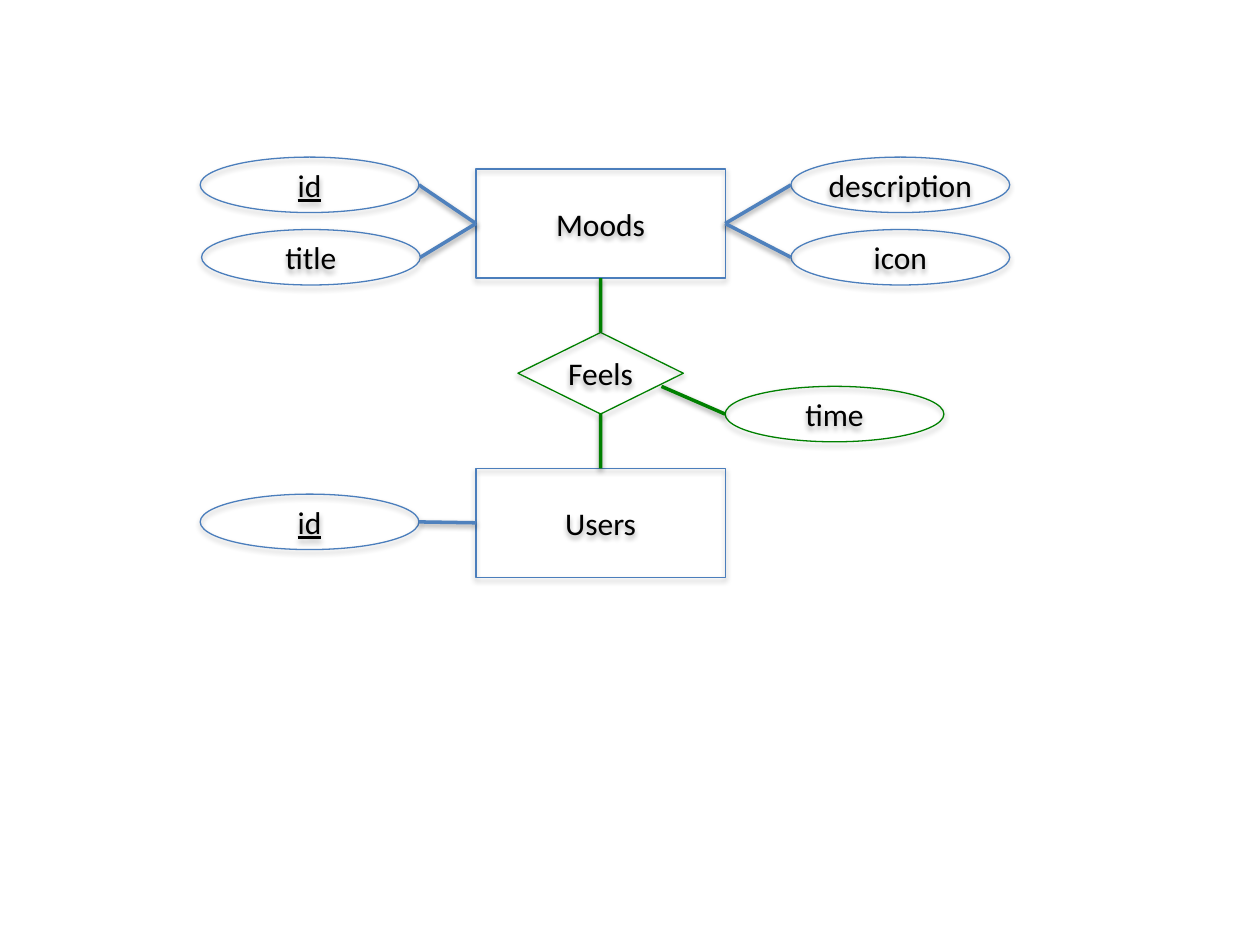
from collections import namedtuple
from dataclasses import dataclass

from pptx import Presentation
from pptx.dml.color import RGBColor
from pptx.enum.shapes import MSO_CONNECTOR, MSO_SHAPE
from pptx.enum.text import MSO_ANCHOR, PP_ALIGN
from pptx.util import Pt

RECT, ELLIPSE, DIAMOND = MSO_SHAPE.RECTANGLE, MSO_SHAPE.OVAL, MSO_SHAPE.DIAMOND
STRAIGHT = MSO_CONNECTOR.STRAIGHT
MIDDLE, CENTER = MSO_ANCHOR.MIDDLE, PP_ALIGN.CENTER
TOP, LEFT, BOTTOM, RIGHT = range(4)

Box = namedtuple("Box", "x y w h")


@dataclass(frozen=True)
class Theme:
    font: str = "Calibri"
    size: float = 18
    text: RGBColor = RGBColor(0, 0, 0)
    entity_line: RGBColor = RGBColor(0x4B, 0x7E, 0xBC)
    entity_link: RGBColor = RGBColor(0x4F, 0x81, 0xBD)
    relation: RGBColor = RGBColor(0, 0x80, 0)
    outline: float = 0.75
    link: float = 2


THEME = Theme()
ATTR_W, ATTR_H = 125, 31.7


def add_node(shapes, kind, box, label, color, key=False):
    """Add an unfilled, labelled shape with the theme's soft shadow; a key is underlined."""
    sp = shapes.add_shape(kind, *map(Pt, box))
    sp.fill.background()
    sp.line.color.rgb = color
    sp.line.width = Pt(THEME.outline)
    tf = sp.text_frame
    tf.word_wrap = True
    tf.vertical_anchor = MIDDLE
    tf.margin_left = tf.margin_right = 0
    p = tf.paragraphs[0]
    p.text = label
    p.alignment = CENTER
    p.font.name = THEME.font
    p.font.size = Pt(THEME.size)
    p.font.color.rgb = THEME.text
    if key:
        p.runs[0].font.underline = True
    return sp


def add_link(shapes, start, end, color):
    line = shapes.add_connector(STRAIGHT, *map(Pt, (*start, *end)))
    line.line.color.rgb = color
    line.line.width = Pt(THEME.link)
    return line


def add_entity(shapes, box, name, attributes):
    """Add an entity and its attributes, given as (label, side, x, y, key)."""
    entity = add_node(shapes, RECT, box, name, THEME.entity_line)
    middle = box.y + box.h / 2
    for label, side, x, y, key in attributes:
        add_node(shapes, ELLIPSE, (x, y, ATTR_W, ATTR_H), label,
                 THEME.entity_line, key)
        start_x, end_x = (box.x, x + ATTR_W) if side == LEFT else (box.x + box.w, x)
        line = add_link(shapes, (start_x, middle), (end_x, y + ATTR_H / 2),
                        THEME.entity_link)
        line.begin_connect(entity, side)
    return entity


def add_relation(shapes, box, name, upper, lower):
    """Add a relation diamond, joined to the entities above and below."""
    diamond = add_node(shapes, DIAMOND, box, name, THEME.relation)
    center = box.x + box.w / 2
    for first, second in ((upper, diamond), (diamond, lower)):
        line = add_link(shapes, (center, box.y), (center, box.y + box.h),
                        THEME.relation)
        line.begin_connect(first, BOTTOM)
        line.end_connect(second, TOP)


def add_relation_attribute(shapes, box, label, start):
    add_node(shapes, ELLIPSE, box, label, THEME.relation)
    add_link(shapes, start, (box.x, box.y + box.h / 2), THEME.relation)


def add_diagram(slide):
    shapes = slide.shapes.add_group_shape().shapes
    moods_box = Box(272, 96.6, 142.4, 62.3)
    users_box = moods_box._replace(y=267.6)
    feels_box = Box(296, 190, 94.5, 46.6)

    moods = add_entity(shapes, moods_box, "Moods", [
        ("id", LEFT, 114.4, 89.8, True),
        ("title", LEFT, 115.2, 131.2, False),
        ("description", RIGHT, 452, 89.8, False),
        ("icon", RIGHT, 452, 131.2, False),
    ])
    users = add_entity(shapes, users_box, "Users", [
        ("id", LEFT, 114.4, 282.4, True),
    ])
    add_relation(shapes, feels_box, "Feels", moods, users)
    add_relation_attribute(shapes, Box(414.4, 220.8, ATTR_W, ATTR_H), "time",
                           (378, 220.8))


def main():
    prs = Presentation()
    prs.slide_width, prs.slide_height = Pt(720), Pt(540)
    add_diagram(prs.slides.add_slide(prs.slide_layouts[6]))
    prs.save("out.pptx")


if __name__ == "__main__":
    main()
